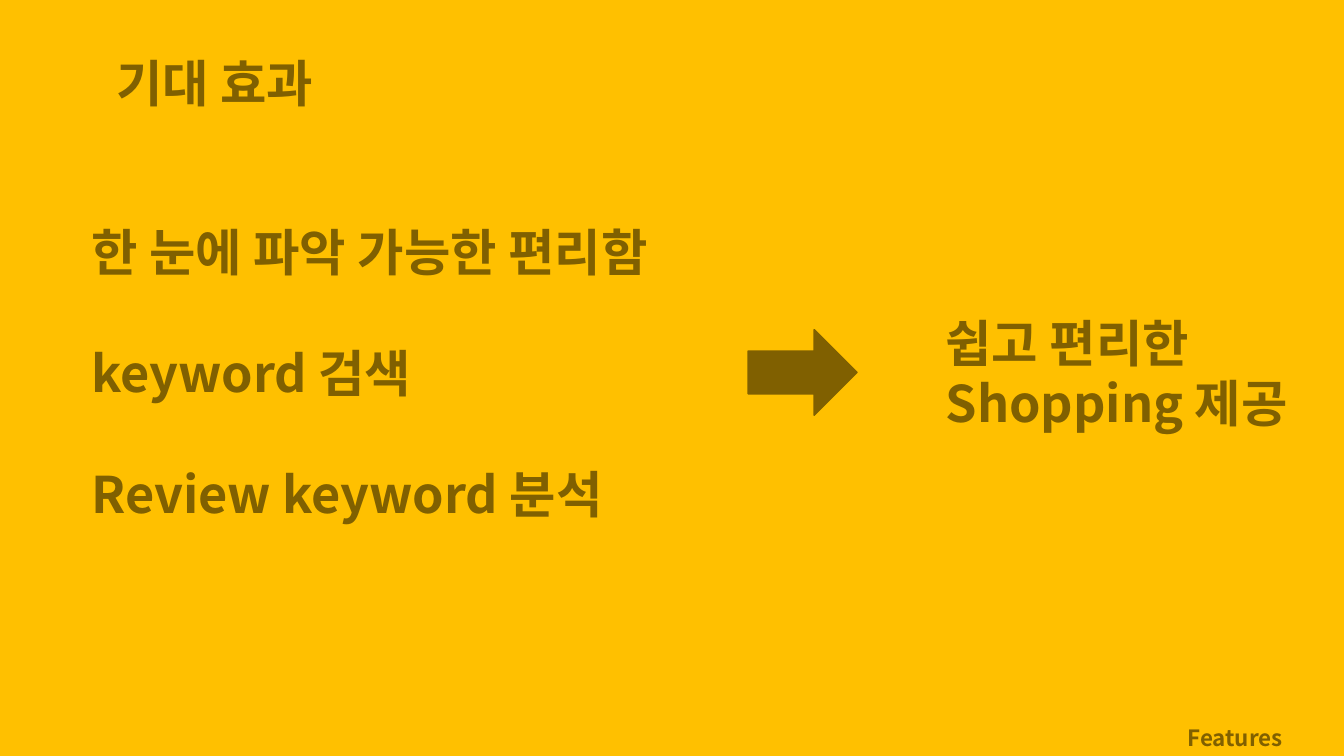
"""Builds the expected-effects slide: three benefits lead to easy shopping."""
from dataclasses import dataclass

from lxml import etree
from pptx import Presentation
from pptx import util as u
from pptx.dml.color import RGBColor
from pptx.enum import shapes, text
from pptx.oxml.ns import qn

COLORS = {"amber": "FFC000", "brown": "806000"}
FONT = "Noto Sans CJK KR"


@dataclass
class Block:
    """A filled rectangle of text lines; box is left, top, width, height."""
    box: tuple[float, float, float, float]
    lines: list[str]
    align: text.PP_ALIGN = text.PP_ALIGN.LEFT
    gap: float = 0


BLOCKS = [
    Block((0.09, 0.46, 4.08, 0.71), ["기대 효과"], text.PP_ALIGN.CENTER),
    Block((0.81, 2.13, 7.44, 3.13),
          ["한 눈에 파악 가능한 편리함", "keyword 검색", "Review keyword 분석"], gap=43.4),
    Block((9.28, 3.04, 3.75, 1.31), ["쉽고 편리한", "Shopping 제공"]),
]


def color(name: str) -> RGBColor:
    """Return a named colour of the slide."""
    return RGBColor.from_string(COLORS[name])


def add_run(p, words: str, size: float) -> None:
    """Add a bold brown run with Latin and East Asian fonts."""
    r = p.add_run()
    r.text = words
    r.font.size, r.font.bold, r.font.name = u.Pt(size), True, FONT
    r.font.color.rgb = color("brown")
    ea = etree.SubElement(r.font._element, qn("a:ea"))
    ea.set("typeface", FONT)


def add_shape(slide, kind: shapes.MSO_SHAPE, box: tuple, fill: str):
    """Add a flat shape without an outline."""
    sp = slide.shapes.add_shape(kind, *map(u.Inches, box))
    sp.shadow.inherit = False
    sp.fill.solid()
    sp.fill.fore_color.rgb = color(fill)
    sp.line.fill.background()
    return sp


def add_block(slide, block: Block) -> None:
    """Draw one text block."""
    sp = add_shape(slide, shapes.MSO_SHAPE.RECTANGLE, block.box, "amber")
    tf = sp.text_frame
    tf.word_wrap = True
    tf.auto_size = text.MSO_AUTO_SIZE.SHAPE_TO_FIT_TEXT
    tf.vertical_anchor = text.MSO_ANCHOR.MIDDLE
    for i, line in enumerate(block.lines):
        p = tf.add_paragraph() if i else tf.paragraphs[0]
        p.alignment = block.align
        p.space_before = u.Pt(block.gap if i else 0)
        add_run(p, line, 36)


def set_title(slide, words: str) -> None:
    """Place the section label in the bottom right corner."""
    sp = slide.shapes.title
    sp.left, sp.top, sp.width, sp.height = map(u.Inches, (11.16, 6.85, 2.18, 0.65))
    tf = sp.text_frame
    tf.word_wrap = True
    tf.auto_size = text.MSO_AUTO_SIZE.NONE
    tf.vertical_anchor = text.MSO_ANCHOR.BOTTOM
    p = tf.paragraphs[0]
    p.alignment, p.line_spacing = text.PP_ALIGN.CENTER, 1.5
    add_run(p, words, 16)


def main() -> None:
    """Build and save the slide."""
    prs = Presentation()
    prs.slide_width, prs.slide_height = u.Inches(13.33), u.Inches(7.5)
    s = prs.slides.add_slide(prs.slide_layouts[5])
    s.background.fill.solid()
    s.background.fill.fore_color.rgb = color("amber")
    set_title(s, "Features")
    for block in BLOCKS:
        add_block(s, block)
    arrow = add_shape(s, shapes.MSO_SHAPE.RIGHT_ARROW, (7.42, 3.27, 1.08, 0.85), "brown")
    arrow.line.color.rgb = color("brown")
    arrow.line.width = u.Pt(1)
    prs.save("out.pptx")


if __name__ == "__main__":
    main()
